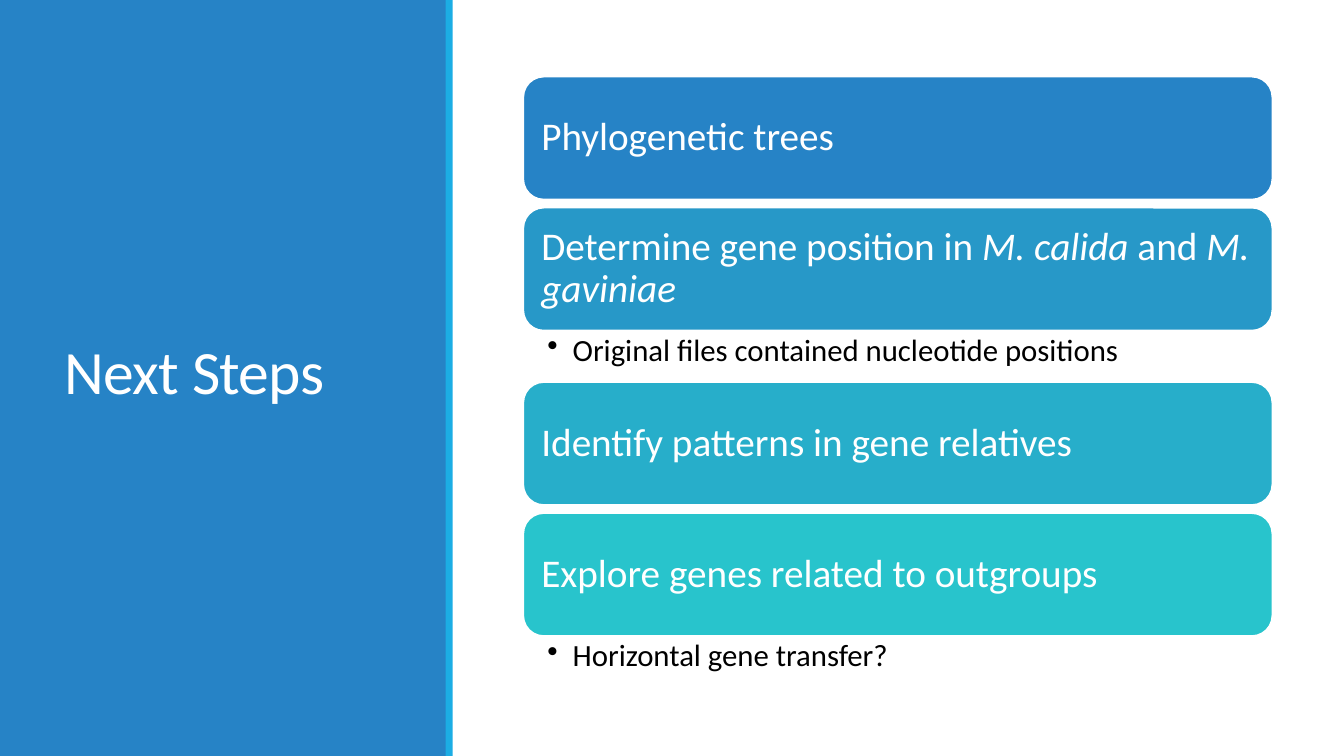
from dataclasses import dataclass

from lxml import etree
from pptx import Presentation
from pptx.dml.color import RGBColor
from pptx.enum.shapes import MSO_SHAPE
from pptx.enum.text import MSO_ANCHOR, MSO_AUTO_SIZE, PP_ALIGN
from pptx.oxml.ns import qn
from pptx.util import Inches, Pt

RECTANGLE = MSO_SHAPE.RECTANGLE
ROUNDED = MSO_SHAPE.ROUNDED_RECTANGLE
MIDDLE, TOP = MSO_ANCHOR.MIDDLE, MSO_ANCHOR.TOP
LEFT = PP_ALIGN.LEFT
NO_AUTOFIT = MSO_AUTO_SIZE.NONE
TITLE_ONLY = 5


@dataclass(frozen=True)
class Theme:
    font: str = "Calibri"
    title_size: float = 44
    step_size: float = 28
    detail_size: float = 22
    panel: str = "2683C6"
    accent: str = "1CADE4"
    light: str = "FFFFFF"
    dark: str = "000000"
    steps: tuple = ("2683C6", "2798C8", "27AECA", "28C4CC")


THEME = Theme()
WIDTH, HEIGHT = 13.33, 7.5
PANEL_WIDTH, STRIPE_WIDTH = 4.43, 0.07
COLUMN_LEFT, COLUMN_WIDTH, COLUMN_TOP = 5.19, 7.43, 0.76
STEP_HEIGHT, DETAIL_HEIGHT, STEP_GAP = 1.22, 0.51, 0.08

# Each step: runs as (text, italic), then an optional detail line
STEPS = (
    ([("Phylogenetic trees", False)], None),
    ([("Determine gene position in ", False), ("M. calida", True),
      (" and ", False), ("M. gaviniae", True)],
     "Original files contained nucleotide positions"),
    ([("Identify patterns in gene relatives", False)], None),
    ([("Explore genes related to outgroups", False)],
     "Horizontal gene transfer?"),
)


def add_block(slide, kind, bounds, fill, outline=None):
    block = slide.shapes.add_shape(kind, *map(Inches, bounds))
    block.shadow.inherit = False
    block.fill.solid()
    block.fill.fore_color.rgb = RGBColor.from_string(fill)
    if outline:
        block.line.color.rgb = RGBColor.from_string(outline)
        block.line.width = Pt(1.25)
    else:
        block.line.fill.background()
    return block


def write_text(box, runs, size, color, anchor, insets, line_spacing=0.9):
    """Fill the box with one left-aligned paragraph; insets run left, top, right, bottom."""
    frame = box.text_frame
    frame.word_wrap = True
    frame.auto_size = NO_AUTOFIT
    frame.vertical_anchor = anchor
    (frame.margin_left, frame.margin_top,
     frame.margin_right, frame.margin_bottom) = map(Inches, insets)
    para = frame.paragraphs[0]
    para.alignment = LEFT
    para.line_spacing = line_spacing
    for text, italic in runs:
        span = para.add_run()
        span.text = text
        span.font.name = THEME.font
        span.font.size = Pt(size)
        span.font.italic = italic
        span.font.color.rgb = RGBColor.from_string(color)
    return para


def add_bullet(para, indent):
    properties = para._p.get_or_add_pPr()
    properties.set("marL", str(Inches(indent)))
    properties.set("indent", str(-Inches(indent)))
    etree.SubElement(properties, qn("a:buChar")).set("char", "•")


def add_title_panel(slide, text):
    panel = add_block(slide, RECTANGLE, (0, 0, PANEL_WIDTH, HEIGHT), THEME.panel)
    add_block(slide, RECTANGLE, (PANEL_WIDTH - 0.01, 0, STRIPE_WIDTH, HEIGHT), THEME.accent)
    title = slide.shapes.title
    panel.element.addnext(title.element)
    title.left, title.top, title.width, title.height = map(Inches, (0.54, 0.57, 3.37, 6.31))
    para = write_text(title, [(text, False)], THEME.title_size, THEME.light,
                      MIDDLE, (0.1, 0.05, 0.1, 0.05), line_spacing=0.85)
    para.runs[0].font._element.set("spc", "-50")


def add_step(slide, top, runs, fill):
    box = add_block(slide, ROUNDED, (COLUMN_LEFT, top, COLUMN_WIDTH, STEP_HEIGHT),
                    fill, THEME.light)
    write_text(box, runs, THEME.step_size, THEME.light, MIDDLE, (0.12,) * 4)


def add_detail(slide, top, text):
    box = slide.shapes.add_textbox(
        *map(Inches, (COLUMN_LEFT, top, COLUMN_WIDTH, DETAIL_HEIGHT)))
    para = write_text(box, [(text, False)], THEME.detail_size, THEME.dark,
                      TOP, (0.24, 0.04, 0.22, 0.04))
    para.level = 1
    add_bullet(para, 0.25)


def add_steps(slide):
    """Stack the steps downwards; a detail line takes the place of the gap."""
    top = COLUMN_TOP
    for (runs, detail), fill in zip(STEPS, THEME.steps):
        add_step(slide, top, runs, fill)
        top += STEP_HEIGHT
        if detail:
            add_detail(slide, top, detail)
            top += DETAIL_HEIGHT
        else:
            top += STEP_GAP


def main():
    deck = Presentation()
    deck.slide_width, deck.slide_height = Inches(WIDTH), Inches(HEIGHT)
    slide = deck.slides.add_slide(deck.slide_layouts[TITLE_ONLY])
    add_title_panel(slide, "Next Steps")
    add_steps(slide)
    deck.save("out.pptx")


if __name__ == "__main__":
    main()
